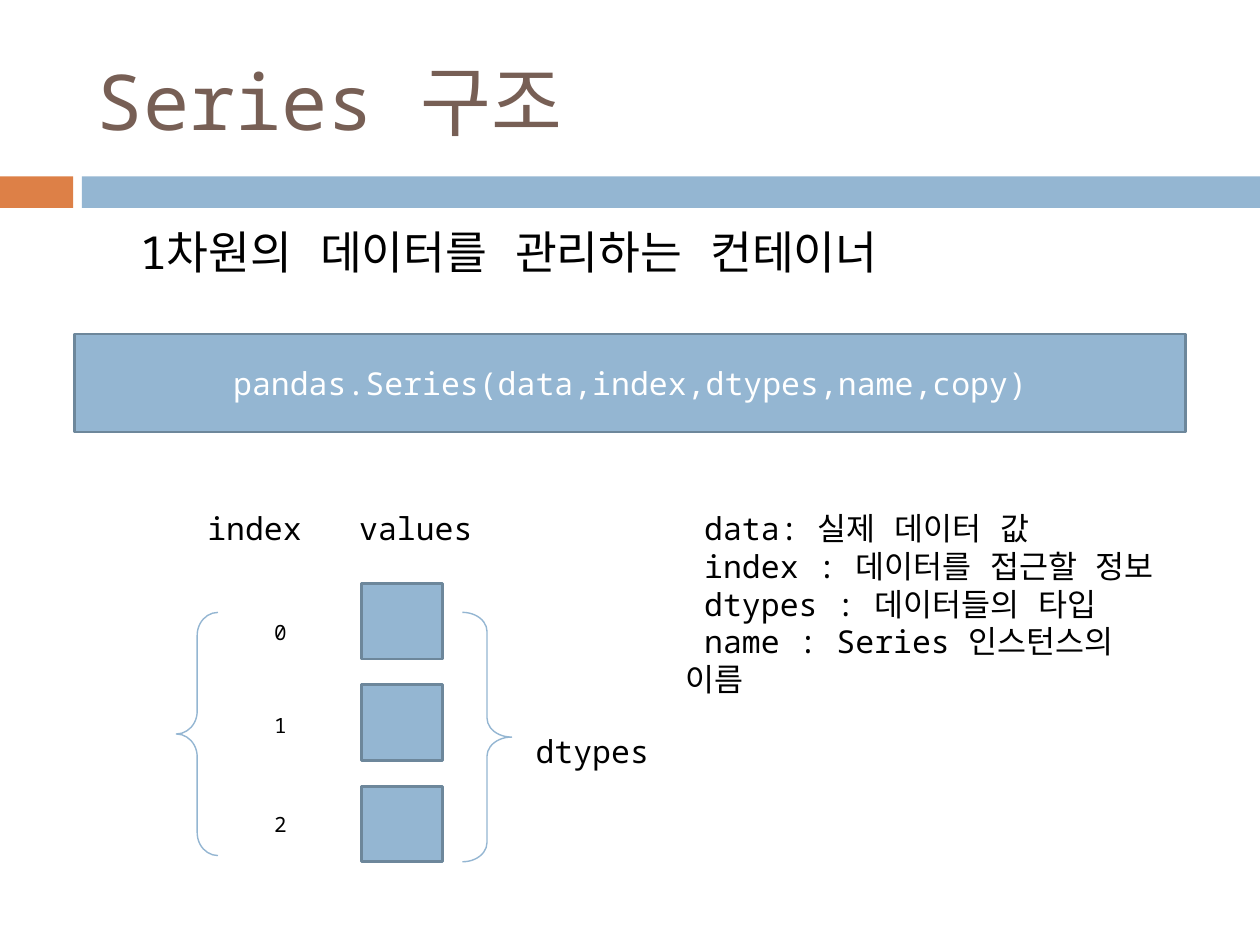
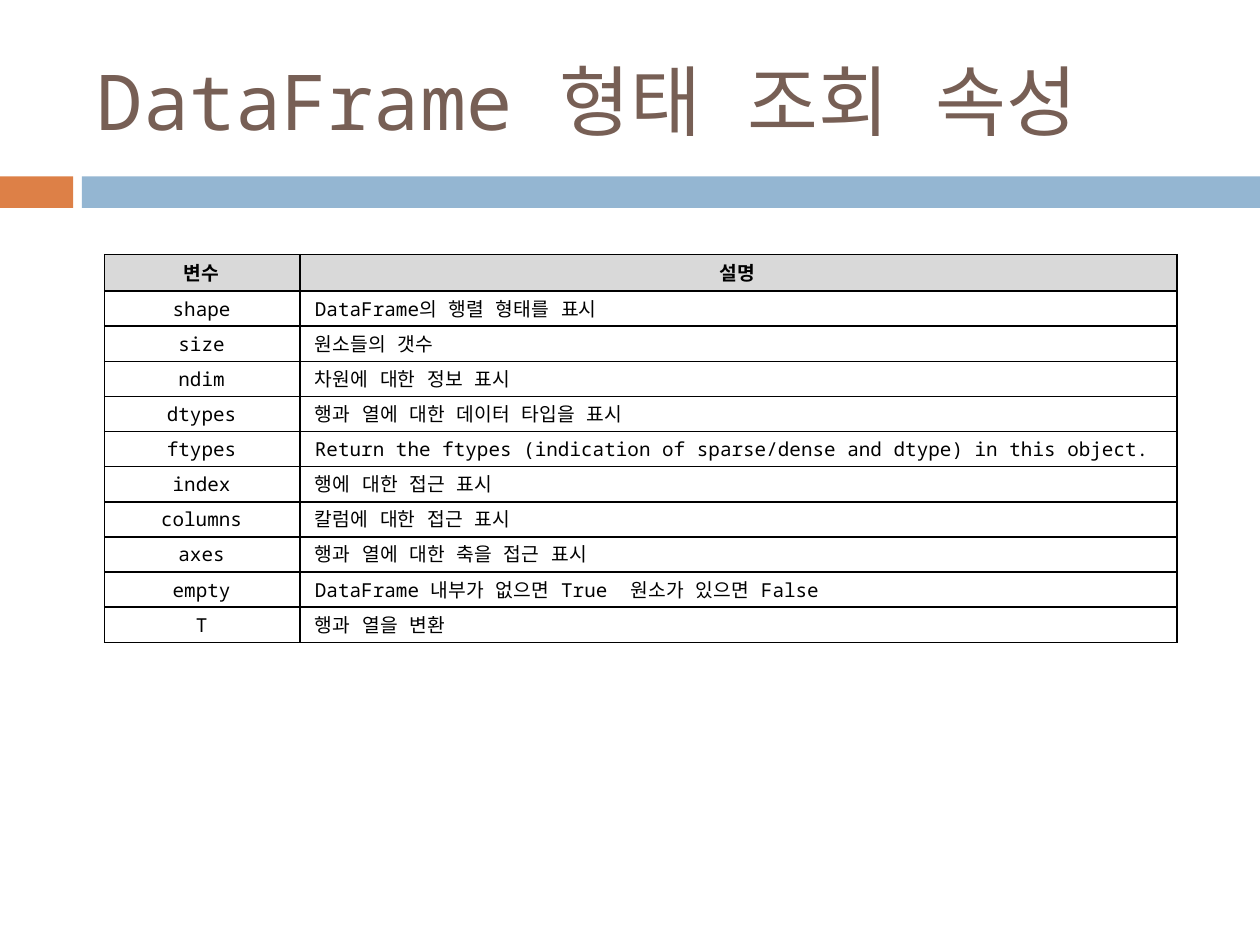
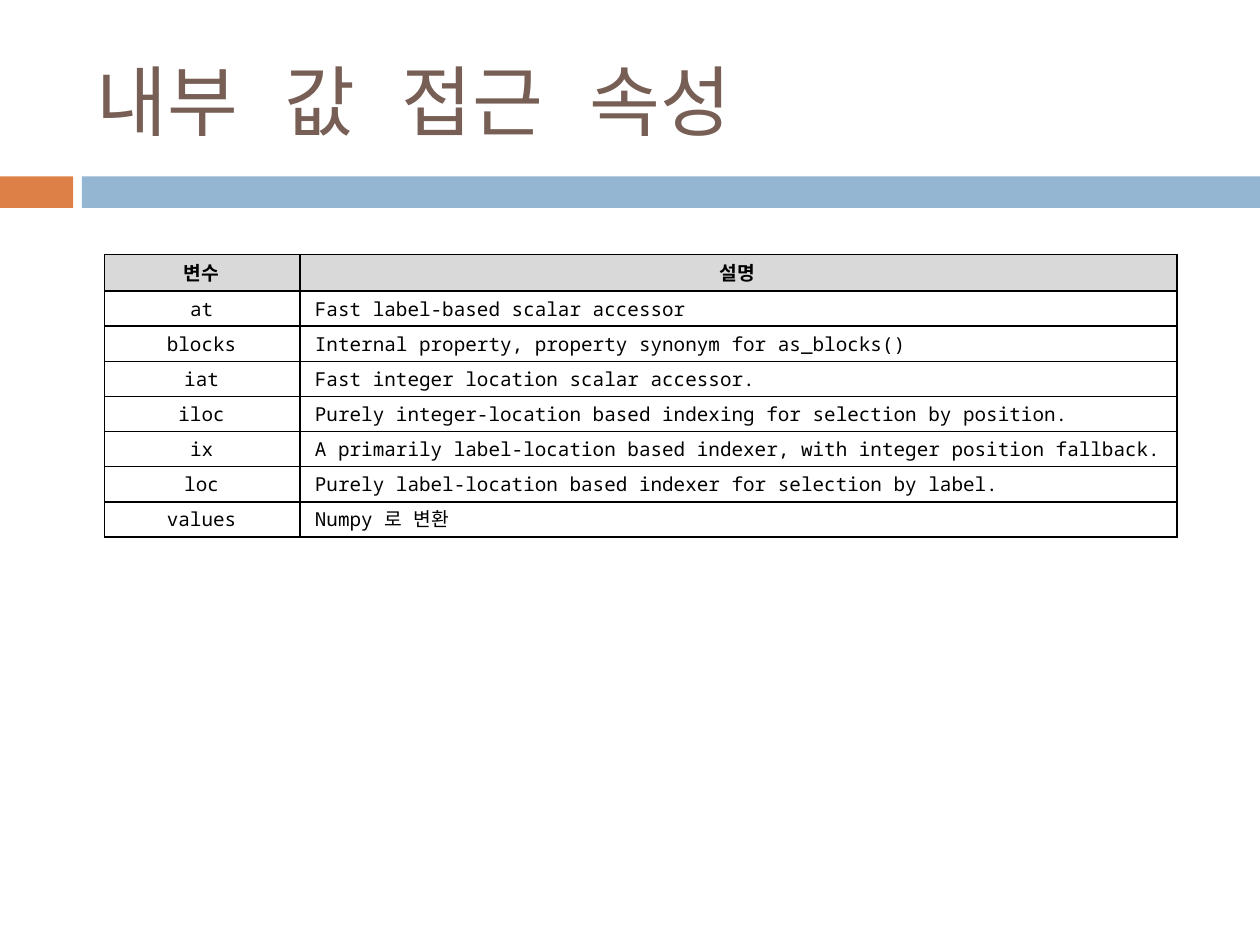
from dataclasses import dataclass

from lxml import etree
from pptx import Presentation
from pptx.dml.color import RGBColor
from pptx.enum.shapes import MSO_SHAPE
from pptx.enum.text import MSO_ANCHOR, MSO_AUTO_SIZE, PP_ALIGN
from pptx.oxml.ns import qn
from pptx.util import Inches, Pt

RECTANGLE, BRACE = MSO_SHAPE.RECTANGLE, MSO_SHAPE.RIGHT_BRACE
TOP, MIDDLE = MSO_ANCHOR.TOP, MSO_ANCHOR.MIDDLE
LEFT, CENTER = PP_ALIGN.LEFT, PP_ALIGN.CENTER
GROW = MSO_AUTO_SIZE.SHAPE_TO_FIT_TEXT

COLUMNS, ROWS = 100, 75  # page grid


@dataclass(frozen=True)
class Theme:
    font: str = "Noto Sans Mono"
    # Colours
    ink: str = "000000"
    paper: str = "FFFFFF"
    title: str = "775F55"
    accent: str = "DD8047"
    blue: str = "94B6D2"
    edge: str = "6D879B"
    header: str = "D9D9D9"
    # Type sizes
    title_size: float = 44
    lead_size: float = 26
    label_size: float = 18
    index_size: float = 12
    table_size: float = 11
    # Line widths
    edge_width: float = 1.5
    brace_width: float = 0.79
    border_width: float = 1


class Page:
    """Holds the theme and the current slide; places elements on the grid."""

    def __init__(self, deck, theme):
        self.deck, self.theme, self.slide = deck, theme, None
        self.column = deck.slide_width / COLUMNS
        self.row = deck.slide_height / ROWS

    def across(self, columns):
        return round(columns * self.column)

    def down(self, rows):
        return round(rows * self.row)

    def place(self, left, top, width, height):
        return (self.across(left), self.down(top),
                self.across(width), self.down(height))

    def start(self, title):
        """Add a slide with the shared bands and title."""
        self.slide = self.deck.slides.add_slide(self.deck.slide_layouts[6])
        self.block((0, 14, 5.8, 2.5), self.theme.accent)
        self.block((6.5, 14, 93.5, 2.5), self.theme.blue)
        self.text((6.7, 2.5, 89.2, 10.8), title, self.theme.title_size,
                  color=self.theme.title, anchor=MIDDLE)

    def style(self, frame, size, color, align, bold=False):
        for para in frame.paragraphs:
            para.alignment = align
            for span in para.runs:
                font = span.font
                font.name, font.size, font.bold = self.theme.font, Pt(size), bold
                font.color.rgb = RGBColor.from_string(color)
                east_asian = etree.SubElement(font._element, qn("a:ea"))
                east_asian.set("typeface", self.theme.font)

    def text(self, area, words, size, color=None, align=LEFT, anchor=TOP,
             grow=False):
        box = self.slide.shapes.add_textbox(*self.place(*area))
        frame = box.text_frame
        frame.text = words
        frame.word_wrap = True
        frame.vertical_anchor = anchor
        if grow:
            frame.auto_size = GROW
        self.style(frame, size, color or self.theme.ink, align)
        return frame

    def indent(self, frame, margin=0, first=0):
        for para in frame.paragraphs:
            properties = para._p.get_or_add_pPr()
            properties.set("marL", str(self.across(margin)))
            properties.set("indent", str(self.across(first)))

    def label(self, left, top, words):
        self.text((left, top, 12.8, 4), words, self.theme.label_size,
                  align=CENTER, grow=True)

    def block(self, area, fill, edge=None, words=""):
        shape = self.slide.shapes.add_shape(RECTANGLE, *self.place(*area))
        shape.shadow.inherit = False
        shape.fill.solid()
        shape.fill.fore_color.rgb = RGBColor.from_string(fill)
        if edge:
            shape.line.color.rgb = RGBColor.from_string(edge)
            shape.line.width = Pt(self.theme.edge_width)
        else:
            shape.line.fill.background()
        if words:
            shape.text_frame.text = words
            shape.text_frame.vertical_anchor = MIDDLE
            self.style(shape.text_frame, self.theme.label_size,
                       self.theme.paper, CENTER)

    def brace(self, area, curve, rotation=0):
        shape = self.slide.shapes.add_shape(BRACE, *self.place(*area))
        shape.shadow.inherit = False
        shape.fill.background()
        shape.line.color.rgb = RGBColor.from_string(self.theme.blue)
        shape.line.width = Pt(self.theme.brace_width)
        shape.adjustments[0] = curve
        shape.rotation = rotation

    def border(self, cell):
        properties = cell._tc.get_or_add_tcPr()
        for side in ("lnL", "lnR", "lnT", "lnB"):
            line = etree.SubElement(properties, qn(f"a:{side}"))
            line.set("w", str(Pt(self.theme.border_width)))
            fill = etree.SubElement(line, qn("a:solidFill"))
            etree.SubElement(fill, qn("a:srgbClr")).set("val", self.theme.ink)

    def table(self, entries):
        """Draw a table of attribute names and their descriptions."""
        lines = [("변수", "설명"), *entries]
        widths, head_height, line_height = (15.5, 69.6), 2.9, 2.79
        area = (8.3, 20.2, sum(widths), head_height + line_height * len(entries))
        table = self.slide.shapes.add_table(
            len(lines), len(widths), *self.place(*area)).table
        table.horz_banding = False
        for column, width in zip(table.columns, widths):
            column.width = self.across(width)
        for y, line in enumerate(lines):
            is_head = y == 0
            table.rows[y].height = self.down(head_height if is_head else line_height)
            for x, words in enumerate(line):
                cell = table.cell(y, x)
                is_description = x == 1 and not is_head
                cell.margin_left = Inches(0.12 if is_description else 0.03)
                cell.margin_right = Inches(0.04)
                cell.margin_top = cell.margin_bottom = Inches(0.01)
                cell.vertical_anchor = MIDDLE
                self.border(cell)
                cell.fill.solid()
                cell.fill.fore_color.rgb = RGBColor.from_string(
                    self.theme.header if is_head else self.theme.paper)
                cell.text_frame.text = words
                self.style(cell.text_frame, self.theme.table_size, self.theme.ink,
                           LEFT if is_description else CENTER, bold=is_head)


PARAMETERS = (
    "data: 실제 데이터 값",
    "index : 데이터를 접근할 정보",
    "dtypes : 데이터들의 타입",
    "name : Series 인스턴스의 이름",
)

SHAPE_ATTRIBUTES = (
    ("shape", "DataFrame의 행렬 형태를 표시"),
    ("size", "원소들의 갯수"),
    ("ndim", "차원에 대한 정보 표시"),
    ("dtypes", "행과 열에 대한 데이터 타입을 표시"),
    ("ftypes", "Return the ftypes (indication of sparse/dense and dtype) in this object."),
    ("index", "행에 대한 접근 표시"),
    ("columns", "칼럼에 대한 접근 표시"),
    ("axes", "행과 열에 대한 축을 접근 표시"),
    ("empty", "DataFrame 내부가 없으면 True  원소가 있으면 False"),
    ("T", "행과 열을 변환"),
)

ACCESS_ATTRIBUTES = (
    ("at", "Fast label-based scalar accessor"),
    ("blocks", "Internal property, property synonym for as_blocks()"),
    ("iat", "Fast integer location scalar accessor."),
    ("iloc", "Purely integer-location based indexing for selection by position."),
    ("ix", "A primarily label-location based indexer, with integer position fallback."),
    ("loc", "Purely label-location based indexer for selection by label."),
    ("values", "Numpy 로 변환"),
)


def series_slide(page):
    theme = page.theme
    page.start("Series 구조")
    lead = page.text((5.1, 17.3, 90, 14.7), "1차원의 데이터를 관리하는 컨테이너",
                     theme.lead_size)
    page.indent(lead, margin=5)
    lead.paragraphs[0].space_before = Pt(5.5)
    page.block((5.9, 26.5, 88.2, 7.8), theme.blue, theme.edge,
               "pandas.Series(data,index,dtypes,name,copy)")

    # Index and value cells
    for number, index_top in enumerate((48.7, 56.1, 63.9)):
        page.block((28.7, 46.3 + 8.05 * number, 6.4, 6), theme.blue, theme.edge)
        page.text((18.7, index_top, 7.1, 3), str(number), theme.index_size,
                  align=CENTER, grow=True)

    # Labels and braces
    page.label(13.8, 39.9, "index")
    page.label(26.6, 39.9, "values")
    page.label(40.6, 57.6, "dtypes")
    page.brace((14, 48.6, 3.3, 19.3), 0.55, rotation=180)
    page.brace((36.7, 48.6, 3.9, 19.8), 0.39)

    # Parameter meanings
    meanings = page.text((53.4, 39.9, 40.2, 13.1), "\n".join(PARAMETERS),
                         theme.label_size, grow=True)
    page.indent(meanings, first=1.5)


def main():
    deck = Presentation()
    deck.slide_width, deck.slide_height = Inches(10), Inches(7.5)
    page = Page(deck, Theme())
    series_slide(page)
    page.start("DataFrame 형태 조회 속성")
    page.table(SHAPE_ATTRIBUTES)
    page.start("내부 값 접근 속성")
    page.table(ACCESS_ATTRIBUTES)
    deck.save("out.pptx")


if __name__ == "__main__":
    main()
